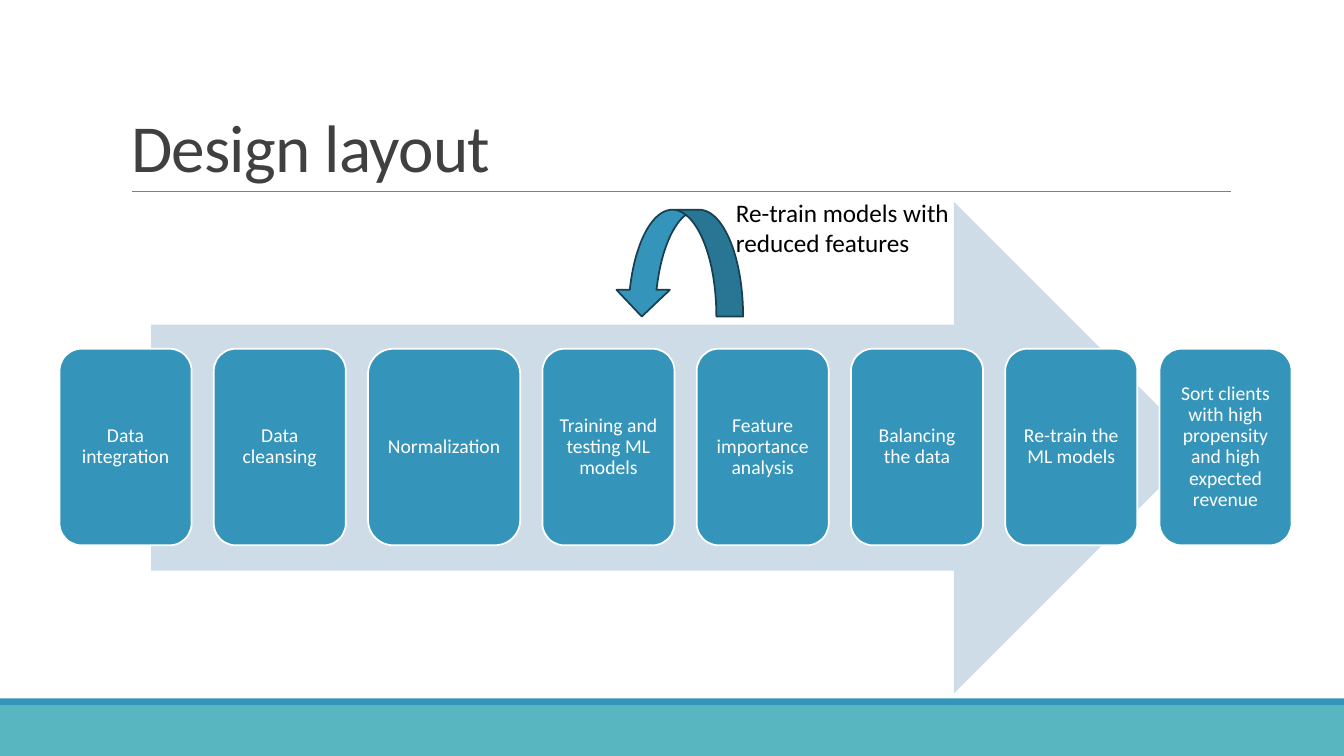
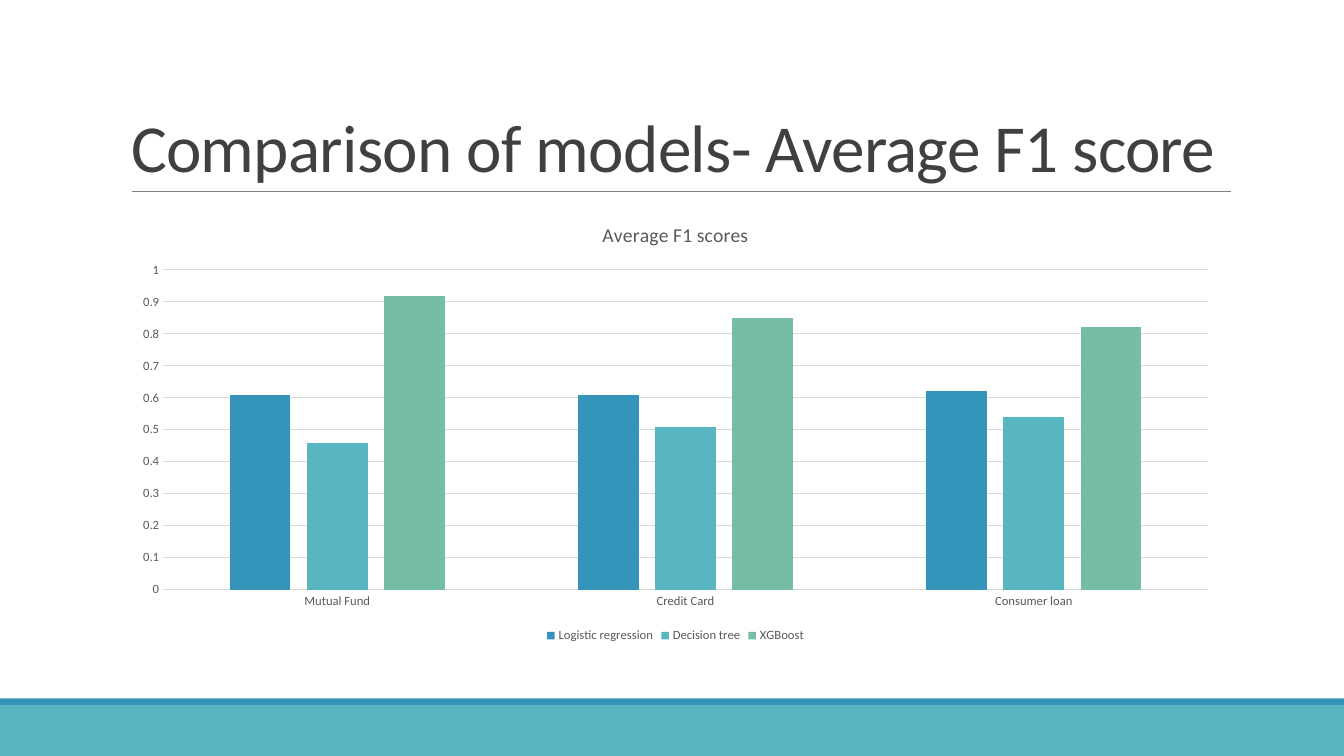
from lxml import etree
from pptx import Presentation
from pptx.chart.data import CategoryChartData
from pptx.dml.color import RGBColor
from pptx.enum.chart import XL_CHART_TYPE as ChartType
from pptx.enum.chart import XL_LEGEND_POSITION as LegendPosition
from pptx.enum.chart import XL_TICK_MARK as TickMark
from pptx.enum.shapes import MSO_CONNECTOR as Connector
from pptx.enum.shapes import MSO_SHAPE as Shape
from pptx.enum.text import MSO_ANCHOR as Anchor
from pptx.enum.text import MSO_AUTO_SIZE as AutoSize
from pptx.enum.text import PP_ALIGN as Align
from pptx.oxml.ns import qn
from pptx.util import Inches, Pt

# Shared look
FONT = "Calibri"
BLUE, TEAL, GREEN = "3494BA", "58B6C0", "75BDA7"
PALE, NAVY, WHITE, BLACK = "CEDCE7", "174152", "FFFFFF", "000000"
TITLE_GRAY, TEXT_GRAY, RULE_GRAY, GRID_GRAY = "404040", "595959", "808080", "D9D9D9"
SLIDE_WIDTH, SLIDE_HEIGHT = 13.33, 7.5


def color(value):
    return RGBColor.from_string(value)


def style_font(font, size, font_color):
    font.name = FONT
    font.size = Pt(size)
    font.bold = False
    font.color.rgb = color(font_color)


def style_line(line, line_color, width):
    line.color.rgb = color(line_color)
    line.width = Pt(width)


def add_block(slide, kind, box, fill, outline=None):
    shape = slide.shapes.add_shape(kind, *map(Inches, box))
    shape.shadow.inherit = False
    shape.fill.solid()
    shape.fill.fore_color.rgb = color(fill)
    if outline:
        style_line(shape.line, outline, 1.25)
    else:
        shape.line.fill.background()
    return shape


def add_base_slide(presentation, title):
    """Slide with the bottom bands, the rule and the title."""
    slide = presentation.slides.add_slide(presentation.slide_layouts[5])
    add_block(slide, Shape.RECTANGLE, (0, 7, SLIDE_WIDTH, 0.5), TEAL)
    add_block(slide, Shape.RECTANGLE, (0, 6.93, SLIDE_WIDTH, 0.07), BLUE)
    rule = slide.shapes.add_connector(
        Connector.STRAIGHT, Inches(1.31), Inches(1.9), Inches(12.21), Inches(1.9))
    style_line(rule.line, RULE_GRAY, 0.5)
    etree.SubElement(rule.line._get_or_add_ln().getparent(), qn("a:effectLst"))

    shape = slide.shapes.title
    shape.left, shape.top, shape.width, shape.height = map(Inches, (1.2, 0.31, 11, 1.59))
    frame = shape.text_frame
    frame.text = title
    frame.auto_size = AutoSize.NONE
    frame.vertical_anchor = Anchor.BOTTOM
    paragraph = frame.paragraphs[0]
    paragraph.alignment = Align.LEFT
    paragraph.line_spacing = 0.85
    style_font(paragraph.font, 48, TITLE_GRAY)
    paragraph.font._element.set("spc", "-50")
    return slide


# Process diagram
def add_step(slide, box, text):
    shape = add_block(slide, Shape.ROUNDED_RECTANGLE, box, BLUE, WHITE)
    frame = shape.text_frame
    frame.text = text
    frame.word_wrap = True
    frame.vertical_anchor = Anchor.MIDDLE
    frame.margin_left = frame.margin_right = Inches(0.06)
    frame.margin_top = frame.margin_bottom = Inches(0.06)
    paragraph = frame.paragraphs[0]
    paragraph.alignment = Align.CENTER
    paragraph.line_spacing = 0.9
    style_font(paragraph.font, 14, WHITE)


def add_process(slide, box, steps):
    """Row of steps in the box; each step is a text and a width."""
    left, top, width, height = box
    gap = (width - sum(step_width for _, step_width in steps)) / (len(steps) - 1)
    for text, step_width in steps:
        add_step(slide, (left, top, step_width, height), text)
        left += step_width + gap


def add_feedback(slide, box, text):
    """Arrow curving back, with its label at the upper right."""
    left, top, width, height = box
    arrow = add_block(slide, Shape.CURVED_UP_ARROW, box, BLUE, NAVY)
    arrow.rotation = 180
    label = slide.shapes.add_textbox(
        Inches(left + width - 0.17), Inches(top - 0.17), Inches(2.52), Inches(0.71))
    frame = label.text_frame
    frame.word_wrap = True
    frame.text = text
    style_font(frame.paragraphs[0].font, 18, BLACK)


def build_design_slide(presentation):
    slide = add_base_slide(presentation, "Design layout")
    add_block(slide, Shape.RIGHT_ARROW, (1.5, 2, 10.4, 4.88), PALE)
    add_process(slide, (0.59, 3.46, 12.22, 1.95), [
        ("Data integration", 1.31),
        ("Data cleansing", 1.31),
        ("Normalization", 1.51),
        ("Training and testing ML models", 1.31),
        ("Feature importance analysis", 1.31),
        ("Balancing the data", 1.31),
        ("Re-train the ML models", 1.31),
        ("Sort clients with high propensity and high expected revenue", 1.31),
    ])
    add_feedback(slide, (6.1, 2.08, 1.27, 1.06), "Re-train models with reduced features")


# Score chart
def add_score_chart(slide, box, title, categories, series):
    data = CategoryChartData()
    data.categories = categories
    for name, values, _ in series:
        data.add_series(name, values)
    chart = slide.shapes.add_chart(
        ChartType.COLUMN_CLUSTERED, *map(Inches, box), data).chart
    style_font(chart.font, 10, BLACK)

    chart.has_title = True
    chart.chart_title.include_in_layout = False
    chart.chart_title.text_frame.text = title
    style_font(chart.chart_title.text_frame.paragraphs[0].font, 14, TEXT_GRAY)

    chart.has_legend = True
    chart.legend.position = LegendPosition.BOTTOM
    chart.legend.include_in_layout = False
    style_font(chart.legend.font, 9, TEXT_GRAY)

    for axis in (chart.category_axis, chart.value_axis):
        axis.major_tick_mark = axis.minor_tick_mark = TickMark.NONE
        style_font(axis.tick_labels.font, 9, TEXT_GRAY)
    style_line(chart.category_axis.format.line, GRID_GRAY, 0.75)
    value_axis = chart.value_axis
    value_axis.format.line.fill.background()
    value_axis.minimum_scale, value_axis.maximum_scale = 0, 1
    value_axis.major_unit = 0.1
    style_line(value_axis.major_gridlines.format.line, GRID_GRAY, 0.75)

    plot = chart.plots[0]
    plot.gap_width, plot.overlap = 219, -27
    plot.vary_by_categories = False
    for plot_series, (_, _, fill) in zip(plot.series, series):
        plot_series.format.fill.solid()
        plot_series.format.fill.fore_color.rgb = color(fill)


def build_comparison_slide(presentation):
    slide = add_base_slide(presentation, "Comparison of models- Average F1 score")
    add_score_chart(
        slide, (1.2, 2.02, 11, 4.4), "Average F1 scores",
        ["Mutual Fund", "Credit Card", "Consumer loan"],
        [
            ("Logistic regression", (0.61, 0.61, 0.62), BLUE),
            ("Decision tree", (0.46, 0.51, 0.54), TEAL),
            ("XGBoost", (0.92, 0.85, 0.82), GREEN),
        ])


def main():
    presentation = Presentation()
    presentation.slide_width = Inches(SLIDE_WIDTH)
    presentation.slide_height = Inches(SLIDE_HEIGHT)
    build_design_slide(presentation)
    build_comparison_slide(presentation)
    presentation.save("out.pptx")


if __name__ == "__main__":
    main()
